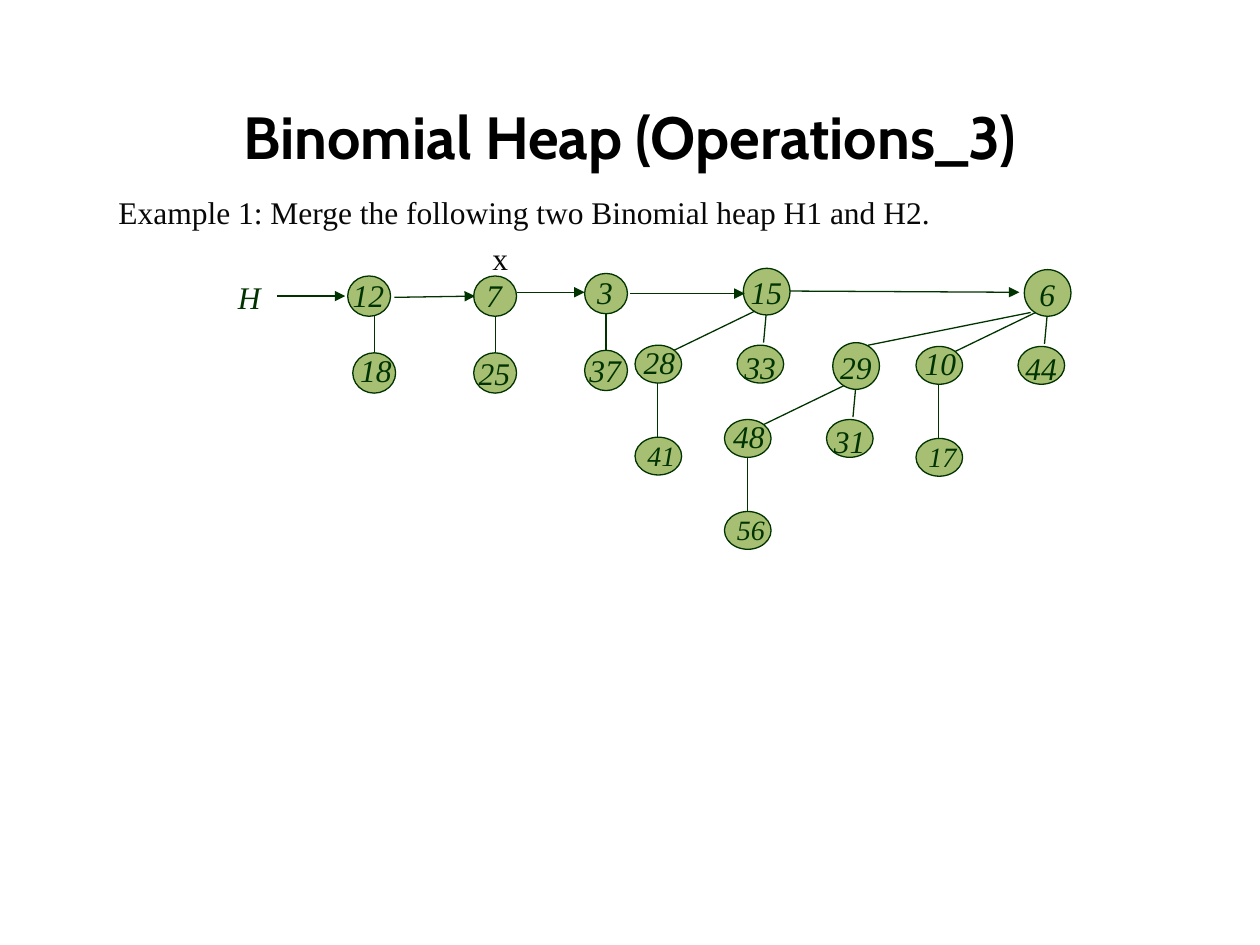
from dataclasses import dataclass
from typing import NamedTuple

from lxml.etree import SubElement
from pptx import Presentation
from pptx.dml.color import RGBColor
from pptx.enum.shapes import MSO_CONNECTOR, MSO_SHAPE
from pptx.enum.text import MSO_ANCHOR, MSO_AUTO_SIZE, PP_ALIGN
from pptx.oxml.ns import qn
from pptx.util import Emu, Pt

PX = 9144  # 100 px to the inch


@dataclass(frozen=True)
class Theme:
    title_font: str = "Cabin"
    font: str = "Times New Roman"
    black: RGBColor = RGBColor(0x00, 0x00, 0x00)
    ink: RGBColor = RGBColor(0x08, 0x08, 0x08)
    green: RGBColor = RGBColor(0x00, 0x33, 0x00)
    fill: RGBColor = RGBColor(0xA6, 0xBF, 0x73)
    title: int = 34
    text: int = 18
    small: int = 16
    line: float = 0.75


THEME = Theme()


class Slot(NamedTuple):
    """A node's oval relative to its tree, and its label relative to the oval."""
    dx: int
    dy: int
    w: int
    h: int
    label_dx: int
    label_dy: int
    label_w: int
    size: int = THEME.text


class Line(NamedTuple):
    x1: int
    y1: int
    x2: int
    y2: int


class Pattern(NamedTuple):
    slots: list[Slot]
    edges: list[Line]


class Tree(NamedTuple):
    pattern: Pattern
    x: int
    y: int
    keys: list[str]


def pair(lean: int = 0, leaf_label_dy: int = -4) -> Pattern:
    """Binomial tree of order 1, its leaf moved sideways by lean."""
    mid = lean + 17
    return Pattern(
        [Slot(0, 0, 34, 32, -6, -5, 55),
         Slot(lean, 61, 34, 32, -6 + lean // 2, leaf_label_dy, 55)],
        [Line(mid, 32, mid, 61)],
    )


ORDER_2 = Pattern(
    [Slot(0, 0, 37, 37, -4, -1, 47),
     Slot(-86, 61, 37, 30, -3, -7, 47),
     Slot(-5, 61, 37, 30, -4, -3, 49),
     Slot(-86, 134, 37, 30, 0, -4, 59, THEME.small)],
    [Line(18, 37, 16, 59), Line(9, 34, -55, 65), Line(-68, 91, -68, 134)],
)
TREES = [
    Tree(pair(4, -6), 276, 219, ["12", "18"]),
    Tree(pair(), 376, 219, ["7", "25"]),
    Tree(pair(), 464, 217, ["3", "37"]),
    Tree(ORDER_2, 590, 213, ["15", "28", "33", "41"]),
    Tree(ORDER_2, 813, 214, ["6", "10", "44", "17"]),
    Tree(ORDER_2, 661, 272, ["29", "48", "31", "56"]),
]
ROOT_ARROWS = [
    Line(220, 235, 274, 235),
    Line(313, 236, 377, 235),
    Line(410, 232, 464, 232),
    Line(500, 233, 591, 233),
    Line(627, 231, 809, 232),
]
SUBTREE_EDGE = Line(818, 248, 689, 274)
ONE_DIGIT_SHIFT = 6


def box(x: int, y: int, w: int, h: int) -> tuple[Emu, ...]:
    return tuple(Emu(v * PX) for v in (x, y, w, h))


def write(p, text: str, font: str, size: int, color: RGBColor,
          bold: bool = False, italic: bool = False) -> None:
    r = p.add_run()
    r.text = text
    r.font.name = font
    r.font.size = Pt(size)
    r.font.color.rgb = color
    r.font.bold = bold
    r.font.italic = italic


def add_label(s, text: str, x: int, y: int, w: int, size: int = THEME.text,
              color: RGBColor = THEME.green, italic: bool = True):
    tf = s.shapes.add_textbox(*box(x, y, w, 40 if size == THEME.text else 37)).text_frame
    tf.word_wrap = True
    p = tf.paragraphs[0]
    write(p, text, THEME.font, size, color, italic=italic)
    return p


def add_line(s, line: Line, arrow: bool = False) -> None:
    ends = (Emu(v * PX) for v in line)
    sp = s.shapes.add_connector(MSO_CONNECTOR.STRAIGHT, *ends)
    sp.line.color.rgb = THEME.green
    sp.line.width = Pt(THEME.line)
    if arrow:
        SubElement(sp.line._get_or_add_ln(), qn("a:tailEnd"), type="triangle")
    SubElement(sp._element.spPr, qn("a:effectLst"))


def add_node(s, key: str, x: int, y: int, slot: Slot) -> None:
    sp = s.shapes.add_shape(MSO_SHAPE.OVAL, *box(x, y, slot.w, slot.h))
    sp.shadow.inherit = False
    sp.fill.solid()
    sp.fill.fore_color.rgb = THEME.fill
    sp.line.color.rgb = THEME.green
    sp.line.width = Pt(THEME.line)
    shift = ONE_DIGIT_SHIFT if len(key) == 1 else 0
    add_label(s, key, x + slot.label_dx + shift, y + slot.label_dy, slot.label_w, slot.size)


def add_tree(s, tree: Tree) -> None:
    for key, slot in zip(tree.keys, tree.pattern.slots, strict=True):
        add_node(s, key, tree.x + slot.dx, tree.y + slot.dy, slot)
    for e in tree.pattern.edges:
        add_line(s, Line(tree.x + e.x1, tree.y + e.y1, tree.x + e.x2, tree.y + e.y2))


def place(sp, x: int, y: int, w: int, h: int, anchor: MSO_ANCHOR, align: PP_ALIGN):
    """Move a placeholder and return its first paragraph."""
    sp.left, sp.top, sp.width, sp.height = box(x, y, w, h)
    tf = sp.text_frame
    tf.auto_size = MSO_AUTO_SIZE.NONE
    tf.vertical_anchor = anchor
    p = tf.paragraphs[0]
    p.alignment = align
    p.space_before = Pt(0)
    return p


def add_headings(s) -> None:
    p = place(s.shapes.title, 50, 68, 900, 79, MSO_ANCHOR.MIDDLE, PP_ALIGN.CENTER)
    write(p, "Binomial Heap (Operations_3)", THEME.title_font, THEME.title, THEME.black, bold=True)
    p = place(s.placeholders[1], 84, 148, 786, 62, MSO_ANCHOR.TOP, PP_ALIGN.JUSTIFY)
    pPr = p._p.get_or_add_pPr()
    pPr.set("marL", "0")
    pPr.set("indent", "0")
    SubElement(pPr, qn("a:buNone"))
    write(p, "Example 1: Merge the following two Binomial heap H1 and H2.",
          THEME.font, THEME.text, THEME.ink)


def main() -> None:
    prs = Presentation()
    prs.slide_width, prs.slide_height = Emu(1000 * PX), Emu(750 * PX)
    s = prs.slides.add_slide(prs.slide_layouts[1])
    add_headings(s)
    for tree in TREES:
        add_tree(s, tree)
    add_line(s, SUBTREE_EDGE)
    for arrow in ROOT_ARROWS:
        add_line(s, arrow, arrow=True)
    add_label(s, "H", 179, 216, 61)
    add_label(s, "x", 381, 188, 36, color=THEME.ink, italic=False).line_spacing = 0.9
    prs.save("out.pptx")


if __name__ == "__main__":
    main()
